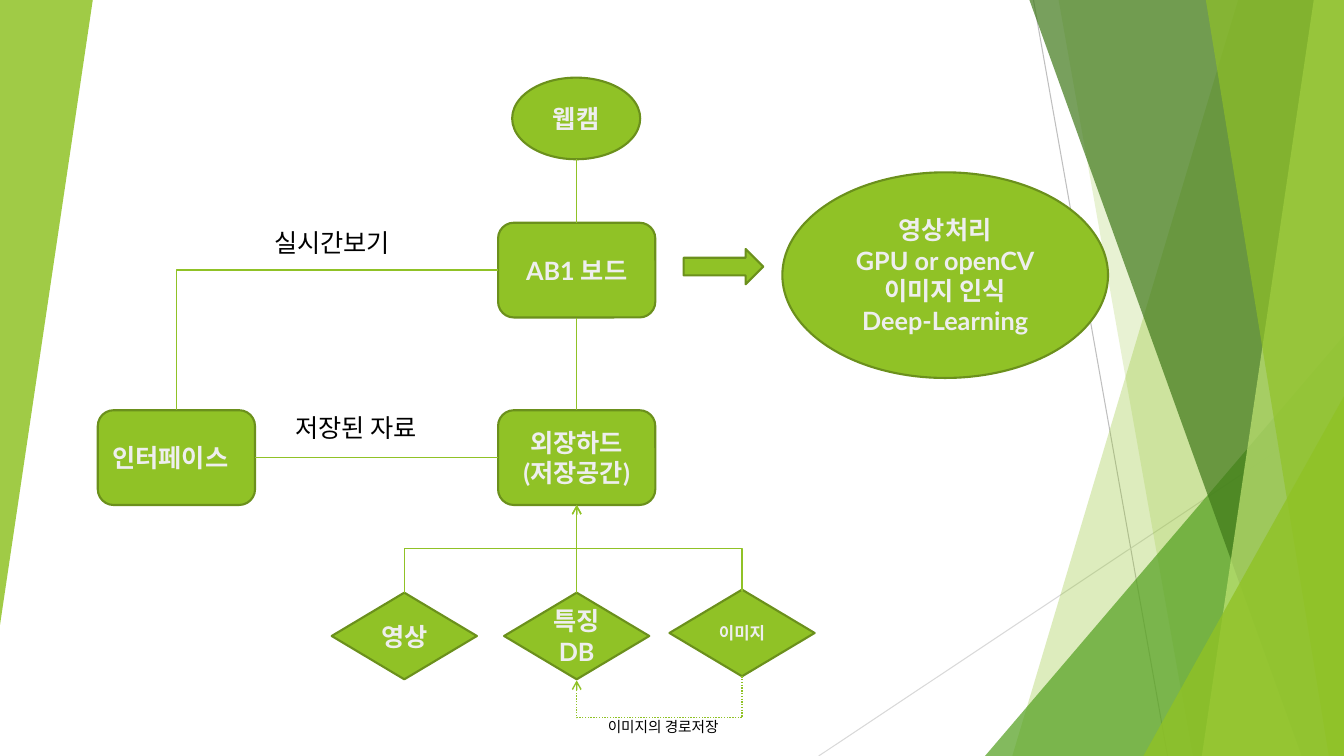
from lxml.etree import SubElement, Element
from pptx import Presentation
from pptx.dml.color import RGBColor
from pptx.enum.dml import MSO_LINE
from pptx.enum.shapes import MSO_CONNECTOR as LINK, MSO_SHAPE as SHAPE
from pptx.enum.text import MSO_ANCHOR, PP_ALIGN as ALIGN
from pptx.oxml.ns import qn
from pptx.util import Inches, Pt

GREEN, EDGE, PALE, BLACK = "90C226", "6B901C", "EEEEEE", "000000"
W, H = 13.33, 7.5

deck = Presentation()
deck.slide_width, deck.slide_height = Inches(W), Inches(H)
slide = deck.slides.add_slide(deck.slide_layouts[6])
shapes = slide.shapes


def paint(fill, color, opacity=100):
    fill.solid()
    fill.fore_color.rgb = RGBColor.from_string(color)
    if opacity < 100:
        tint = fill._xPr.find(qn("a:solidFill"))[0]
        SubElement(tint, qn("a:alpha"), val=str(opacity * 1000))


def style_line(link, color, width, arrow=False, dotted=False):
    paint(link.line.fill, color)
    link.line.width = Pt(width)
    if dotted:
        link.line.dash_style = MSO_LINE.ROUND_DOT
    if arrow:
        SubElement(link.line._get_or_add_ln(), qn("a:tailEnd"), type="arrow")
    SubElement(link._element.spPr, qn("a:effectLst"))


# Backdrop: thin rays, then translucent facets
for x1, y1, x2, y2, color in [(10.25, 0, 11.58, H, "BFBFBF"), (W, 4.03, 8.12, H, "D9D9D9")]:
    ray = shapes.add_connector(LINK.STRAIGHT, Inches(x1), Inches(y1), Inches(x2), Inches(y2))
    style_line(ray, color, 0.75)

# Bands reach the right edge: (top x, bottom x); triangles: (left, top, width, height, turn)
facets = [
    ((12.28, 10.04), GREEN, 30),
    ((10.5, 11.83), GREEN, 20),
    ((9.77, 3.33, 3.56, 4.17, 0), "54A021", 72),
    ((10.21, 12.91), "3F7819", 70),
    ((13.03, 11.92), "C0E474", 70),
    ((11.96, 13.18), GREEN, 65),
    ((11.34, 3.93, 1.99, 3.57, 0), GREEN, 80),
    ((0, 0, 0.92, 6.2, 180), GREEN, 85),
]
for geometry, color, opacity in facets:
    if len(geometry) == 2:
        top_x, bottom_x = geometry
        outline = shapes.build_freeform(Inches(top_x), 0, scale=1.0)
        outline.add_line_segments([(Inches(W), 0), (Inches(W), Inches(H)), (Inches(bottom_x), Inches(H))])
        facet = outline.convert_to_shape()
    else:
        *box, turn = geometry
        facet = shapes.add_shape(SHAPE.ISOSCELES_TRIANGLE, *map(Inches, box))
        facet.adjustments[0] = 1
        facet.rotation = turn
    paint(facet.fill, color, opacity)
    facet.line.fill.background()
    facet.shadow.inherit = False

# Nodes of the diagram
box_size, diamond_size = (1.56, 0.94), (1.44, 0.86)
node_specs = [
    ("interface", SHAPE.ROUNDED_RECTANGLE, 0.97, 4.07, *box_size, "인터페이스", 18),
    ("board", SHAPE.ROUNDED_RECTANGLE, 4.94, 2.21, *box_size, "AB1 보드", 18),
    ("disk", SHAPE.ROUNDED_RECTANGLE, 4.94, 4.07, *box_size, "외장하드\n(저장공간)", 18),
    ("webcam", SHAPE.OVAL, 5.08, 0.77, 1.27, 0.81, "웹캠", 18),
    ("video", SHAPE.FLOWCHART_DECISION, 3.29, 5.88, *diamond_size, "영상", 18),
    ("features", SHAPE.FLOWCHART_DECISION, 5, 5.88, *diamond_size, "특징DB", 18),
    ("image", SHAPE.FLOWCHART_DECISION, 6.64, 5.85, *diamond_size, "이미지", 12),
    ("arrow", SHAPE.RIGHT_ARROW, 6.78, 2.47, 0.79, 0.35, "", 18),
    ("processing", SHAPE.OVAL, 7.76, 1.71, 3.23, 2.04,
     "영상처리\nGPU or openCV\n이미지 인식\nDeep-Learning", 18),
]
nodes = {}
for key, kind, left, top, width, height, words, size in node_specs:
    node = nodes[key] = shapes.add_shape(kind, *map(Inches, (left, top, width, height)))
    node.shadow.inherit = False
    paint(node.fill, GREEN)
    paint(node.line.fill, EDGE)
    node.line.width = Pt(1.5)
    if not words:
        continue
    node.text_frame.text = words
    node.text_frame.vertical_anchor = MSO_ANCHOR.MIDDLE
    for paragraph in node.text_frame.paragraphs:
        paragraph.alignment = ALIGN.LEFT if key == "interface" else ALIGN.CENTER
        for run in paragraph.runs:
            run.font.name, run.font.size, run.font.bold = "Lato", Pt(size), True
            paint(run.font.fill, PALE)
            # Letter outline
            stroke = Element(qn("a:ln"), w=str(Pt(1)))
            ink = SubElement(stroke, qn("a:solidFill"))
            SubElement(ink, qn("a:srgbClr"), val="263E49")
            run.font._element.insert(0, stroke)

# Straight links: (from, side, to, side, arrowhead)
straight_links = [
    ("webcam", None, "board", 0, False),
    ("disk", 0, "board", 2, False),
    ("interface", 3, "disk", 1, False),
    ("features", 0, "disk", 2, True),
]
for start, start_side, end, end_side, arrow in straight_links:
    link = shapes.add_connector(LINK.STRAIGHT, Inches(5.72), Inches(1.58), Inches(5.72), Inches(2.21))
    if start_side is not None:
        link.begin_connect(nodes[start], start_side)
    link.end_connect(nodes[end], end_side)
    style_line(link, GREEN, 1, arrow)

# Elbow links leave vertically: a level elbow turned by 90 degrees about its centre
elbow_links = [
    (5.72, 5.02, 7.36, 5.86, "bentConnector3", 0.5, False, False),
    (1.75, 4.07, 4.94, 2.68, "bentConnector2", None, False, False),
    (7.36, 6.71, 5.72, 6.75, "bentConnector3", 10.25, True, True),
    (4.01, 5.88, 5.72, 5.01, "bentConnector3", 0.5, True, False),
]
for x1, y1, x2, y2, preset, bend, arrow, dotted in elbow_links:
    mid_x, mid_y = (x1 + x2) / 2, (y1 + y2) / 2
    half_w, half_h = abs(y2 - y1) / 2, abs(x2 - x1) / 2
    elbow = shapes.add_connector(LINK.ELBOW, Inches(mid_x - half_w), Inches(mid_y - half_h),
                                 Inches(mid_x + half_w), Inches(mid_y + half_h))
    frame = elbow._element.spPr.find(qn("a:xfrm"))
    frame.set("rot", str(90 * 60000))
    frame.set("flipH", str(int(y1 > y2)))
    frame.set("flipV", str(int(x1 < x2)))
    geometry = elbow._element.spPr.find(qn("a:prstGeom"))
    geometry.set("prst", preset)
    if bend is not None:
        SubElement(geometry.find(qn("a:avLst")), qn("a:gd"), name="adj1", fmla=f"val {int(bend * 100000)}")
    style_line(elbow, GREEN, 1, arrow, dotted)

# Captions beside the links
for left, top, width, height, words, size in [
    (2.62, 2.21, 1.46, 0.4, "실시간보기", 18),
    (2.83, 4.04, 1.54, 0.4, "저장된 자료", 18),
    (5.93, 7.07, 1.42, 0.28, "이미지의 경로저장", 10.5),
]:
    caption = shapes.add_textbox(*map(Inches, (left, top, width, height))).text_frame
    caption.text = words
    caption.word_wrap = False
    font = caption.paragraphs[0].runs[0].font
    font.name, font.size = "Lato", Pt(size)
    paint(font.fill, BLACK)

deck.save("out.pptx")
